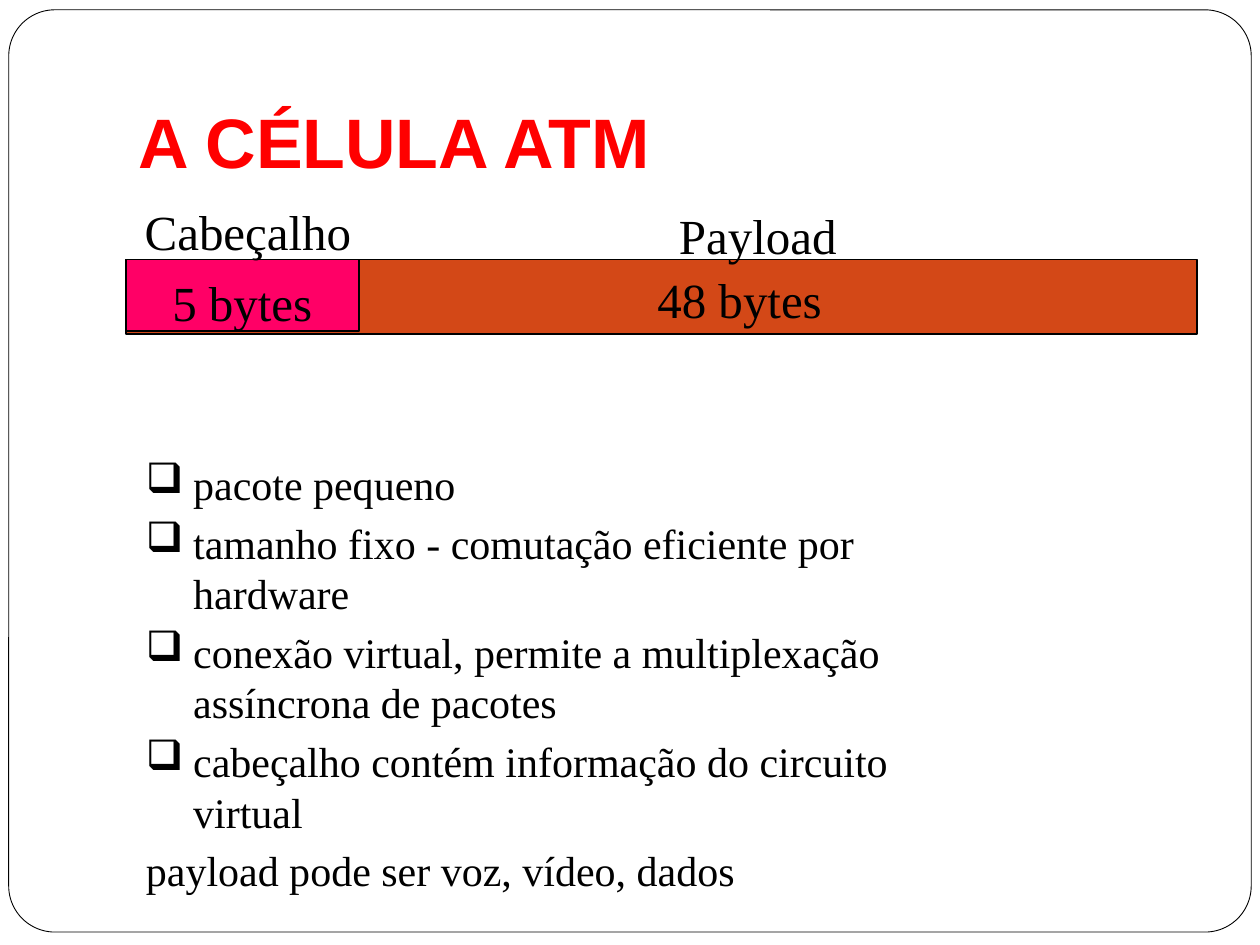
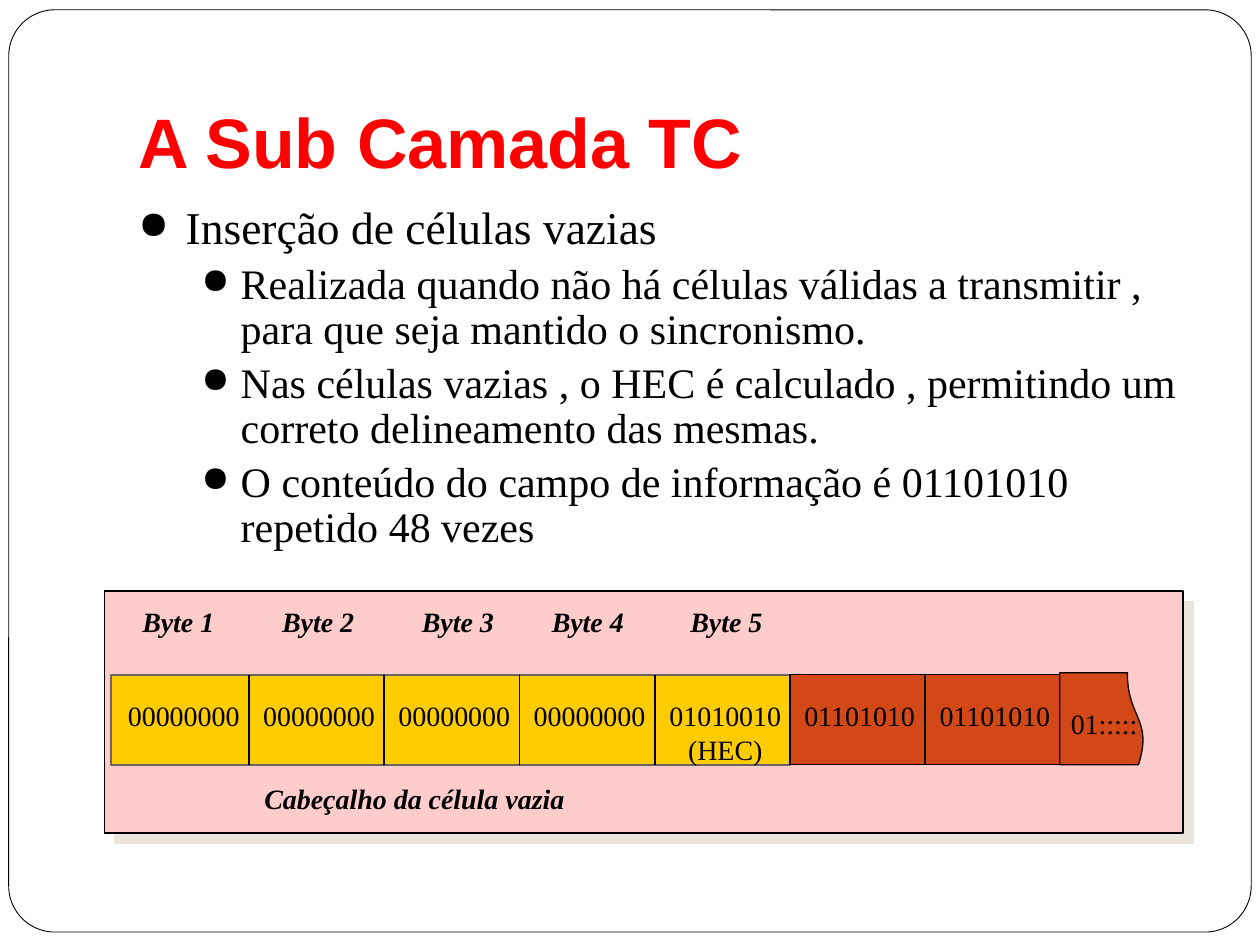
"""Builds two slides about the ATM cell and the TC sublayer."""
from lxml import etree
from pptx import Presentation
from pptx import util as u
from pptx.dml import color
from pptx.enum import shapes, text
from pptx.oxml import ns

COLORS = {"ink": "000000", "paper": "FFFFFF", "title": "FF0000", "payload": "D34817",
          "header": "FF0066", "panel": "FFCCCC", "empty": "FFCC00", "edge": "696464",
          "shadow": "E9E5DC"}
SERIF, SANS = "Times New Roman", "Arial"

CELL_TITLE = "A CÉLULA ATM"
CELL_BARS = [((72, 148.3, 612, 42.5), "payload"), ((72, 148.3, 133.2, 41), "header")]
CELL_LABELS = [("Payload", 380.9, 113.8, 124.6), ("Cabeçalho", 75.6, 111.6, 157.7),
               ("5 bytes", 91.4, 151.9, 112.3), ("48 bytes", 368.6, 150.5, 129.6)]
CELL_POINTS = [
    ("pacote pequeno", "❑"),
    ("tamanho fixo - comutação eficiente por hardware", "❑"),
    ("conexão virtual, permite a multiplexação assíncrona de pacotes", "❑"),
    ("cabeçalho contém informação do circuito virtual", "❑"),
    ("payload pode ser voz, vídeo, dados", None),
]

TC_TITLE = "A Sub Camada TC"
TC_POINTS = [
    ("Inserção de células vazias", 0),
    ("Realizada quando não há células válidas a transmitir , para que seja mantido o sincronismo.", 1),
    ("Nas células vazias , o HEC é calculado , permitindo um correto delineamento das mesmas.", 1),
    ("O conteúdo do campo de informação é 01101010 repetido 48 vezes", 1),
]
TC_LEVELS = [dict(size=26, left=27, hang=27), dict(size=24, left=58.5, hang=22.5)]
BYTE_LABELS = [("Byte 1", 74.2), ("Byte 2", 154.1), ("Byte 3", 234), ("Byte 4", 308.2),
               ("Byte 5", 387.4)]
BYTES = [["00000000"]] * 4 + [["01010010", "(HEC)"]] + [["01101010"]] * 2
HEADER_CAPTION = "Cabeçalho da célula vazia"
BYTE_LEFT, BYTE_STEP, BYTE_TOP, BYTE_HEIGHT = 65, 77.3, 385.5, 51.5


def pts(values):
    return [u.Pt(v) for v in values]


def rgb(name):
    return color.RGBColor.from_string(COLORS[name])


def add_shape(s, kind, box, fill, line="ink", width=1):
    sp = s.shapes.add_shape(kind, *pts(box))
    sp.shadow.inherit = False
    sp.fill.solid()
    sp.fill.fore_color.rgb = rgb(fill)
    sp.line.color.rgb = rgb(line)
    sp.line.width = u.Pt(width)
    return sp


def cast_shadow(sp, name, distance):
    effects = sp.element.spPr.find(ns.qn("a:effectLst"))
    shadow = etree.SubElement(effects, ns.qn("a:outerShdw"), dist=str(u.Pt(distance)),
                              dir="2700000", algn="ctr", rotWithShape="0")
    etree.SubElement(shadow, ns.qn("a:srgbClr"), val=COLORS[name])


def add_divider(s, x, top, height):
    line = s.shapes.add_connector(shapes.MSO_CONNECTOR.STRAIGHT, *pts((x, top, x, top + height)))
    line.line.color.rgb = rgb("ink")
    line.line.width = u.Pt(1)
    etree.SubElement(line.element.spPr, ns.qn("a:effectLst"))


def set_bullet(p, left, hang, bullet, scale):
    pPr = p._p.get_or_add_pPr()
    pPr.set("marL", str(u.Pt(left)))
    pPr.set("indent", str(-u.Pt(hang)))
    if bullet:
        buClr = etree.SubElement(pPr, ns.qn("a:buClr"))
        etree.SubElement(buClr, ns.qn("a:srgbClr"), val=COLORS["ink"])
        etree.SubElement(pPr, ns.qn("a:buSzPct"), val=str(scale * 1000))
        etree.SubElement(pPr, ns.qn("a:buChar"), char=bullet)
    else:
        etree.SubElement(pPr, ns.qn("a:buNone"))


def add_text(s, paragraphs, box, size=16, font=SERIF, ink="ink", bold=False, italic=False,
             wrap=False, anchor=text.MSO_ANCHOR.TOP, bottom=3.6, align=None, spacing=None):
    """Each paragraph is a string or a dict with text, size and bullet settings."""
    tf = s.shapes.add_textbox(*pts(box)).text_frame
    tf.word_wrap = wrap
    tf.auto_size = text.MSO_AUTO_SIZE.NONE if wrap else text.MSO_AUTO_SIZE.SHAPE_TO_FIT_TEXT
    tf.vertical_anchor = anchor
    tf.margin_bottom = u.Pt(bottom)
    for i, item in enumerate(paragraphs):
        item = item if isinstance(item, dict) else dict(text=item)
        p = tf.add_paragraph() if i else tf.paragraphs[0]
        p.alignment = align
        p.line_spacing = spacing
        points = item.get("size", size)
        if "hang" in item:
            p.space_before = u.Pt(points * 0.2 if i else 0)
            set_bullet(p, item["left"], item["hang"], item["bullet"], item.get("scale", 100))
        r = p.add_run()
        r.text = item["text"]
        r.font.size = u.Pt(points)
        r.font.name = font
        r.font.bold = bold
        r.font.italic = italic
        r.font.color.rgb = rgb(ink)


def new_slide(prs, title):
    s = prs.slides.add_slide(prs.slide_layouts[6])
    frame = add_shape(s, shapes.MSO_SHAPE.ROUNDED_RECTANGLE, (5, 5.6, 710, 527), "paper", width=0.5)
    frame.adjustments[0] = 0.05
    add_text(s, [title], (72, 21.6, 612, 90), size=40, font=SANS, ink="title", bold=True,
             wrap=True, anchor=text.MSO_ANCHOR.BOTTOM, bottom=7.2)
    return s


def build_cell_slide(prs):
    s = new_slide(prs, CELL_TITLE)
    for box, fill in CELL_BARS:
        add_shape(s, shapes.MSO_SHAPE.RECTANGLE, box, fill)
    for label, left, top, width in CELL_LABELS:
        add_text(s, [label], (left, top, width, 35.3), size=28)
    points = [dict(text=t, bullet=b, left=27, hang=27) for t, b in CELL_POINTS]
    add_text(s, points, (76.3, 258.5, 499, 205), size=24, wrap=True)


def build_tc_slide(prs):
    s = new_slide(prs, TC_TITLE)
    points = [dict(TC_LEVELS[level], text=t, bullet="●", scale=85) for t, level in TC_POINTS]
    add_text(s, points, (72, 113.8, 612, 212.4), wrap=True, spacing=0.9)

    rect = shapes.MSO_SHAPE.RECTANGLE
    panel = add_shape(s, rect, (59.8, 337.7, 616.3, 138.2), "panel")
    cast_shadow(panel, "shadow", 8.5)
    edges = [BYTE_LEFT + i * BYTE_STEP for i in range(len(BYTES) + 1)]
    add_shape(s, rect, (63.4, BYTE_TOP, edges[5] - 63.4, BYTE_HEIGHT), "empty", "edge")
    add_shape(s, rect, (edges[5], BYTE_TOP, 2 * BYTE_STEP, BYTE_HEIGHT), "payload", width=0.75)
    for x in edges[1:]:
        add_divider(s, x, BYTE_TOP, BYTE_HEIGHT)
    tail = add_shape(s, shapes.MSO_SHAPE.FLOWCHART_DOCUMENT, (603.4, 386.6, 52.6, 48.2),
                     "payload", width=0.75)
    tail.rotation = 270

    for label, left in BYTE_LABELS:
        add_text(s, [label], (left, 342, 56.2, 26.6), bold=True, italic=True)
    for x, lines in zip(edges, BYTES):
        add_text(s, lines, (x + 1, 395.6, 78.5, 26.6 if len(lines) == 1 else 46),
                 align=text.PP_ALIGN.CENTER if len(lines) > 1 else None)
    add_text(s, ["01:::::"], (604.8, 400.3, 53.3, 26.6))
    add_text(s, [HEADER_CAPTION], (144, 442.8, 311.8, 26.6), bold=True, italic=True, wrap=True)


def main():
    prs = Presentation()
    prs.slide_width, prs.slide_height = pts((720, 540))
    build_cell_slide(prs)
    build_tc_slide(prs)
    prs.save("out.pptx")


if __name__ == "__main__":
    main()
